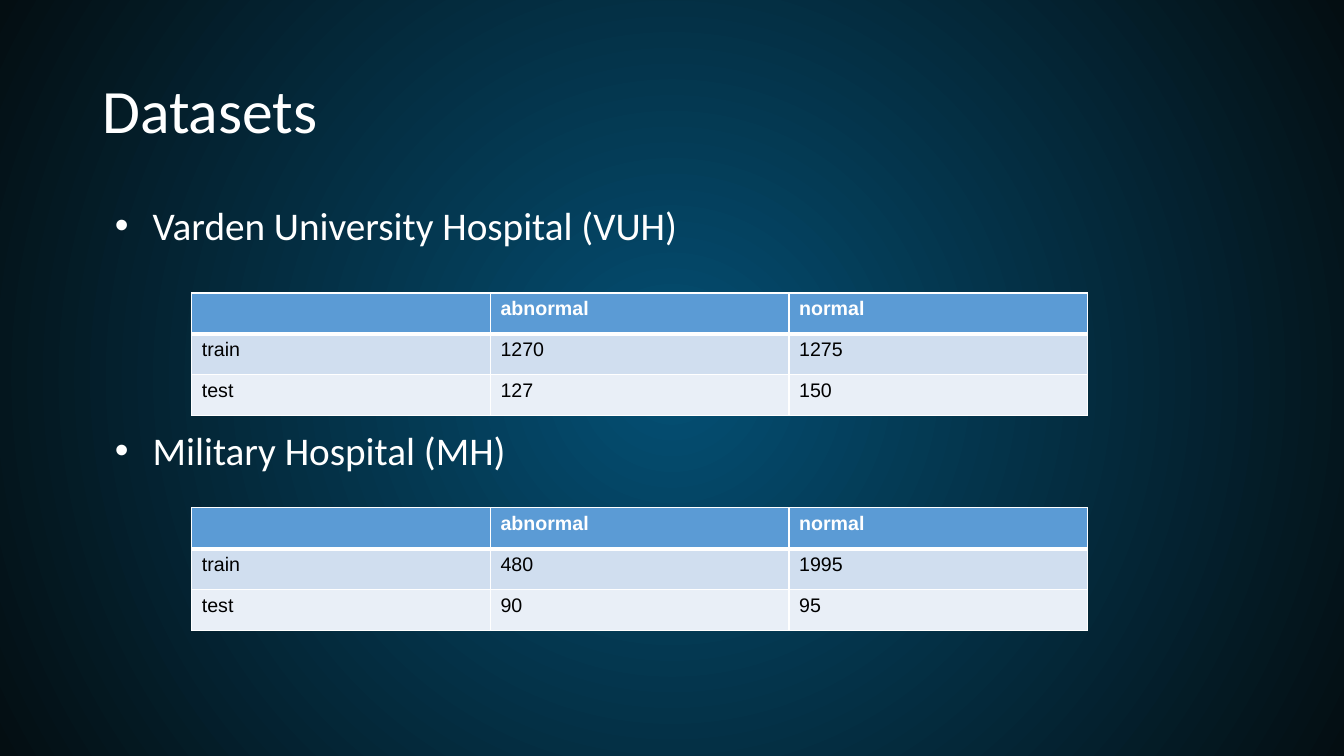
from pptx import Presentation
from pptx.dml.color import RGBColor
from pptx.enum.text import MSO_ANCHOR as Anchor
from pptx.oxml import parse_xml
from pptx.oxml.ns import nsdecls
from pptx.util import Pt

WHITE = RGBColor(0xFF, 0xFF, 0xFF)
BLACK = RGBColor(0x00, 0x00, 0x00)
HEADER_BLUE = RGBColor(0x5B, 0x9B, 0xD5)
TRAIN_BLUE = RGBColor(0xD0, 0xDE, 0xEF)
TEST_BLUE = RGBColor(0xE9, 0xEF, 0xF7)
GLOW = [
    (0, RGBColor(0x00, 0x4D, 0x80)),
    (2, RGBColor(0x04, 0x4E, 0x72)),
    (100, RGBColor(0x04, 0x0E, 0x12)),
]

ROW_FILLS = [HEADER_BLUE, TRAIN_BLUE, TEST_BLUE]
ROW_HEIGHT = 29.25
HEADER = ["", "abnormal", "normal"]
UNIVERSITY = [HEADER, ["train", "1270", "1275"], ["test", "127", "150"]]
MILITARY = [HEADER, ["train", "480", "1995"], ["test", "90", "95"]]


def paint_background(page):
    """Radial glow from the centre of the slide."""
    fill = page.background.fill
    fill.gradient()
    stops = "".join(
        f'<a:gs pos="{percent * 1000}"><a:srgbClr val="{color}"/></a:gs>'
        for percent, color in GLOW
    )
    glow = parse_xml(
        f'<a:gradFill {nsdecls("a")} rotWithShape="1"><a:gsLst>{stops}</a:gsLst>'
        '<a:path path="circle"><a:fillToRect l="50000" t="50000" r="50000" b="50000"/>'
        "</a:path></a:gradFill>"
    )
    old = page.background._cSld.bg.bgPr.find(".//{*}gradFill")
    old.getparent().replace(old, glow)


def add_span(para, text, font, size, color, bold=False):
    span = para.add_run()
    span.text = text
    span.font.name = font
    span.font.size = Pt(size)
    span.font.color.rgb = color
    span.font.bold = bold


def add_text_frame(page, left, top, width, height, anchor):
    box = page.shapes.add_textbox(Pt(left), Pt(top), Pt(width), Pt(height))
    frame = box.text_frame
    frame.word_wrap = True
    frame.vertical_anchor = anchor
    return frame


def add_title(page, left, top, width, height, text):
    frame = add_text_frame(page, left, top, width, height, Anchor.MIDDLE)
    para = frame.paragraphs[0]
    para.line_spacing = 0.9
    add_span(para, text, "Calibri", 44, WHITE)


def add_bullets(page, left, top, width, height, names, gap):
    """Bulleted hospital names, with room for a table between them."""
    frame = add_text_frame(page, left, top, width, height, Anchor.TOP)
    for index, name in enumerate(names):
        para = frame.add_paragraph() if index else frame.paragraphs[0]
        para.line_spacing = 0.9
        para.space_before = Pt(gap if index else 0)
        props = para._p.get_or_add_pPr()
        props.set("marL", str(Pt(36)))
        props.set("indent", str(Pt(-27)))
        for bullet in (
            f'<a:buClr {nsdecls("a")}><a:srgbClr val="{WHITE}"/></a:buClr>',
            f'<a:buFont {nsdecls("a")} typeface="Arial"/>',
            f'<a:buChar {nsdecls("a")} char="•"/>',
        ):
            props.append(parse_xml(bullet))
        add_span(para, name, "Calibri", 28, WHITE)


def add_borders(cell, top, bottom):
    """White cell edges; they go ahead of the fill."""
    props = cell._tc.get_or_add_tcPr()
    weights = {"L": 1, "R": 1, "T": top, "B": bottom}
    for index, (side, weight) in enumerate(weights.items()):
        props.insert(index, parse_xml(
            f'<a:ln{side} {nsdecls("a")} w="{Pt(weight)}"><a:solidFill>'
            f'<a:srgbClr val="{WHITE}"/></a:solidFill></a:ln{side}>'
        ))


def add_counts_table(page, left, top, width, rows):
    frame = page.shapes.add_table(
        len(rows), len(rows[0]), Pt(left), Pt(top), Pt(width), Pt(ROW_HEIGHT * len(rows))
    )
    table = frame.table
    for r, (values, fill) in enumerate(zip(rows, ROW_FILLS)):
        table.rows[r].height = Pt(ROW_HEIGHT)
        is_header = r == 0
        for c, value in enumerate(values):
            cell = table.cell(r, c)
            cell.fill.solid()
            cell.fill.fore_color.rgb = fill
            add_borders(cell, top=3 if r == 1 else 1, bottom=3 if is_header else 1)
            if value:
                color = WHITE if is_header else BLACK
                add_span(cell.text_frame.paragraphs[0], value, "Arial", 14, color, is_header)


def main():
    deck = Presentation()
    deck.slide_width, deck.slide_height = Pt(960), Pt(540)
    page = deck.slides.add_slide(deck.slide_layouts[6])

    paint_background(page)
    add_title(page, 66, 28.75, 828, 104.4, "Datasets")
    hospitals = ["Varden University Hospital (VUH)", "Military Hospital (MH)"]
    add_bullets(page, 66, 144, 828, 342.6, hospitals, gap=130.5)

    # One table under each hospital name
    for top, rows in ((209.25, UNIVERSITY), (362.75, MILITARY)):
        add_counts_table(page, 137, top, 640, rows)

    deck.save("out.pptx")


if __name__ == "__main__":
    main()
